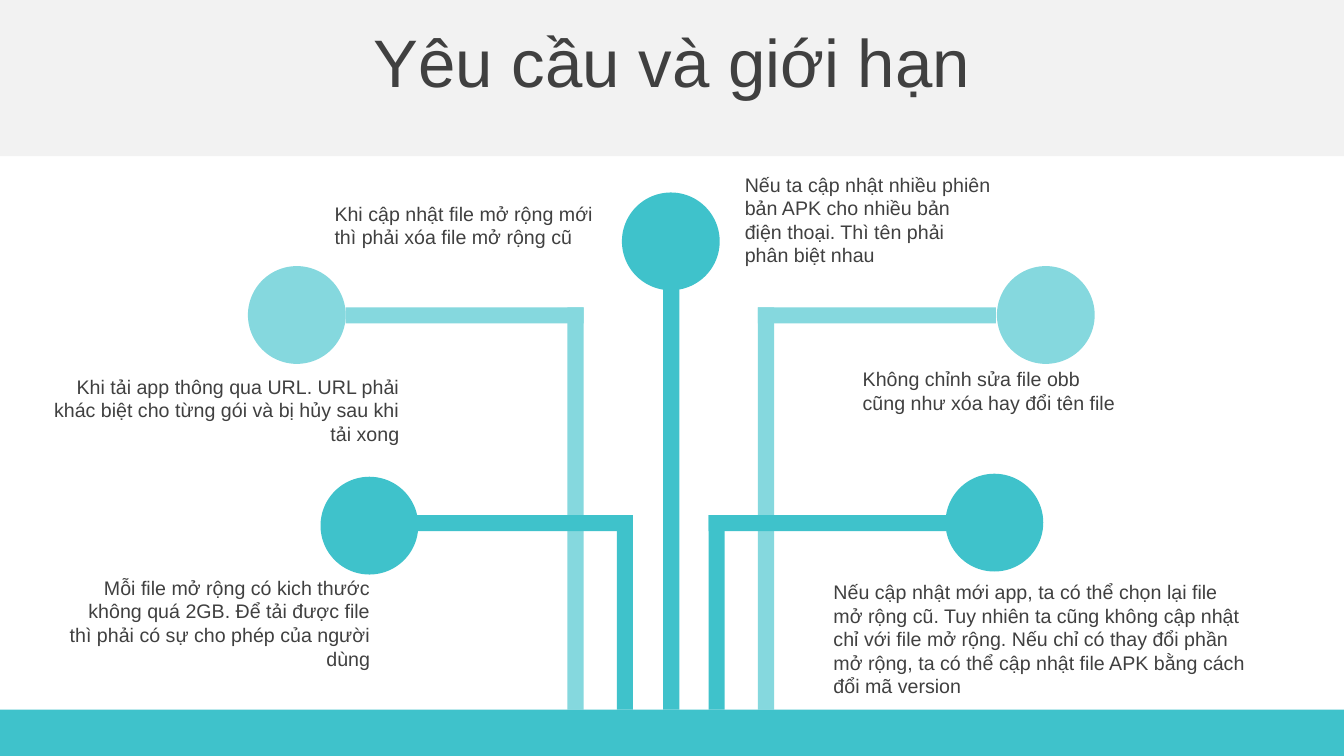
from pptx import Presentation
from pptx.dml.color import RGBColor
from pptx.enum.shapes import MSO_SHAPE
from pptx.enum.text import MSO_ANCHOR, PP_ALIGN
from pptx.util import Inches, Pt

RECT, OVAL = MSO_SHAPE.RECTANGLE, MSO_SHAPE.OVAL
LEFT, CENTER, RIGHT = PP_ALIGN.LEFT, PP_ALIGN.CENTER, PP_ALIGN.RIGHT
MIDDLE = MSO_ANCHOR.MIDDLE
COLS, ROWS = 133.33, 75
GROUND, BAR, ARM, DISC = 70.4, 1.6, 23.6, 9.7
TEAL, PALE, GREY, INK = "3FC2CB", "85D8DE", "F2F2F2", "404040"

BACK_BRANCHES = [
    (56.3, 30.5, -1, 24.6, 26.4, PALE),
    (75.2, 30.5, 1, 98.9, 26.4, PALE),
    (70.3, 51.1, 1, 93.8, 47, TEAL),
    (61.2, 51.1, -1, 31.8, 47.3, TEAL),
]
TRUNK = (65.8, 23.1, 0, 61.7, 19.1, TEAL)
NOTES = [
    (5.6, 56.6, 32.1, 10.4, RIGHT,
     "Mỗi file mở rộng có kich thước không quá 2GB. Để tải được file "
     "thì phải có sự cho phép của người dùng"),
    (4, 36.6, 36.6, 8.1, RIGHT,
     "Khi tải app thông qua URL. URL phải khác biệt cho từng gói "
     "và bị hủy sau khi tải xong"),
    (81.7, 57, 43.2, 12.8, LEFT,
     "Nếu cập nhật mới app, ta có thể chọn lại file mở rộng cũ. "
     "Tuy nhiên ta cũng không cập nhật chỉ với file mở rộng. "
     "Nếu chỉ có thay đổi phần mở rộng, ta có thể cập nhật file APK "
     "bằng cách đổi mã version"),
    (72.9, 16.6, 26.5, 10.4, LEFT,
     "Nếu ta cập nhật nhiều phiên bản APK cho nhiều bản điện thoại. "
     "Thì tên phải phân biệt nhau"),
    (84.6, 35.9, 28.1, 5.7, LEFT,
     "Không chỉnh sửa file obb cũng như xóa hay đổi tên file"),
    (32.2, 19.5, 28.1, 5.7, LEFT,
     "Khi cập nhật file mở rộng mới thì phải xóa file mở rộng cũ"),
]


def rgb(value):
    return RGBColor.from_string(value)


class Deck:
    """Draws styled elements on a slide with a grid of tenth-inch cells."""

    def __init__(self, font="Arial", ink=INK, cell=0.1):
        self.font, self.ink, self.cell = font, ink, cell
        self.prs = Presentation()
        self.prs.slide_width, self.prs.slide_height = self.grid(COLS, ROWS)
        self.s = self.prs.slides.add_slide(self.prs.slide_layouts[6])

    def grid(self, *cells):
        return [Inches(c * self.cell) for c in cells]

    def block(self, kind, x, y, w, h, color):
        sp = self.s.shapes.add_shape(kind, *self.grid(x, y, w, h))
        sp.shadow.inherit = False
        sp.fill.solid()
        sp.fill.fore_color.rgb = rgb(color)
        sp.line.fill.background()

    def text(self, x, y, w, h, align, words, size=14):
        tf = self.s.shapes.add_textbox(*self.grid(x, y, w, h)).text_frame
        for name, value in {"word_wrap": True, "vertical_anchor": MIDDLE}.items():
            setattr(tf, name, value)
        p = tf.paragraphs[0]
        p.alignment = align
        r = p.add_run()
        r.text = words
        for name, value in {"name": self.font, "size": Pt(size)}.items():
            setattr(r.font, name, value)
        r.font.color.rgb = rgb(self.ink)

    def branch(self, x, y, side, disc_x, disc_y, color):
        self.block(RECT, x, y, BAR, GROUND - y, color)
        if side:
            arm_x = x if side > 0 else x + BAR - ARM
            self.block(RECT, arm_x, y, ARM, BAR, color)
        self.block(OVAL, disc_x, disc_y, DISC, DISC, color)


def main():
    deck = Deck()
    deck.block(RECT, 0, 0, COLS, 15.5, GREY)
    deck.text(0, 1.8, COLS, 8.4, CENTER, "Yêu cầu và giới hạn", 48)
    for branch in BACK_BRANCHES:
        deck.branch(*branch)
    deck.block(RECT, 0, GROUND, COLS, ROWS - GROUND, TEAL)
    deck.branch(*TRUNK)
    for note in NOTES:
        deck.text(*note)
    deck.prs.save("out.pptx")


if __name__ == "__main__":
    main()
